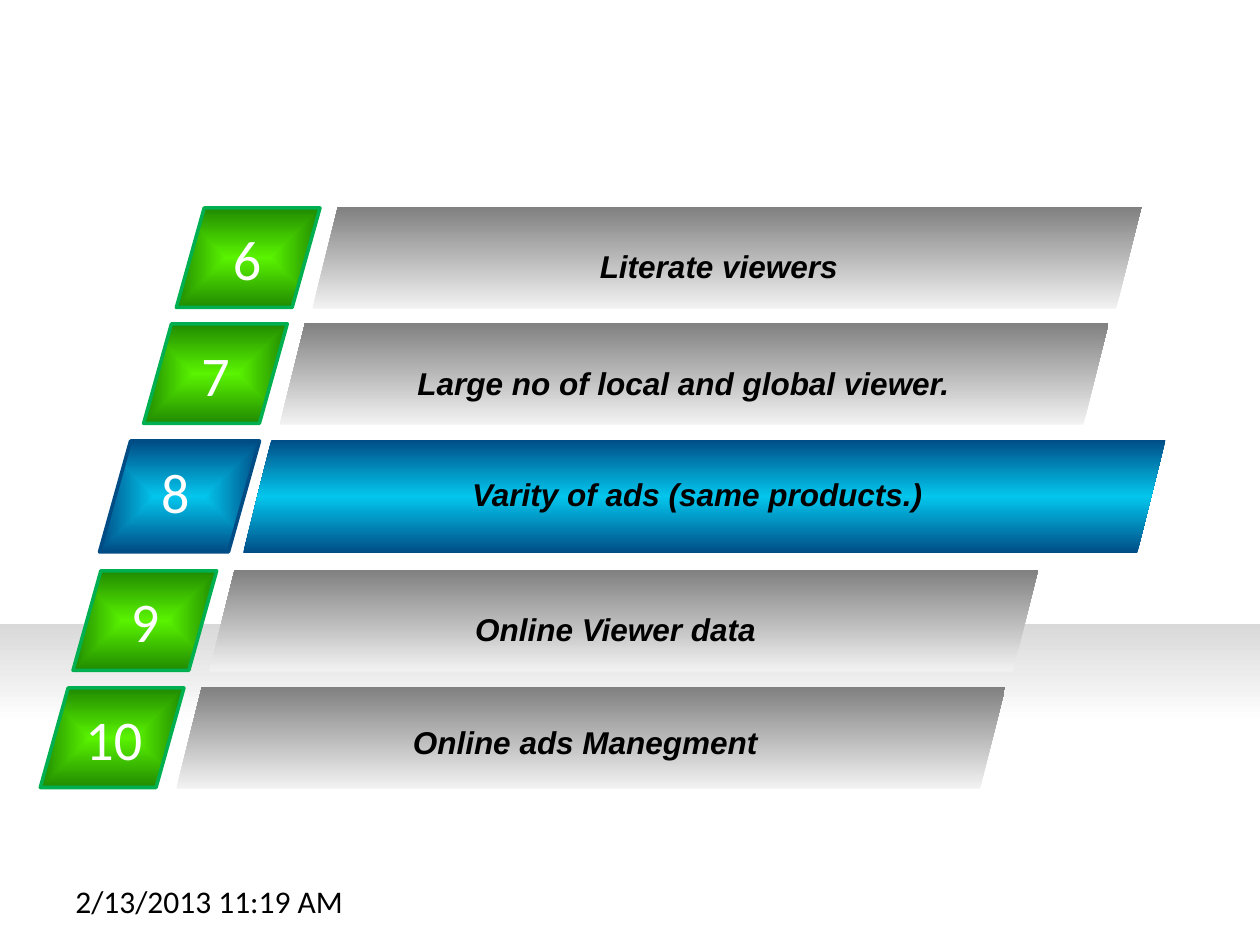
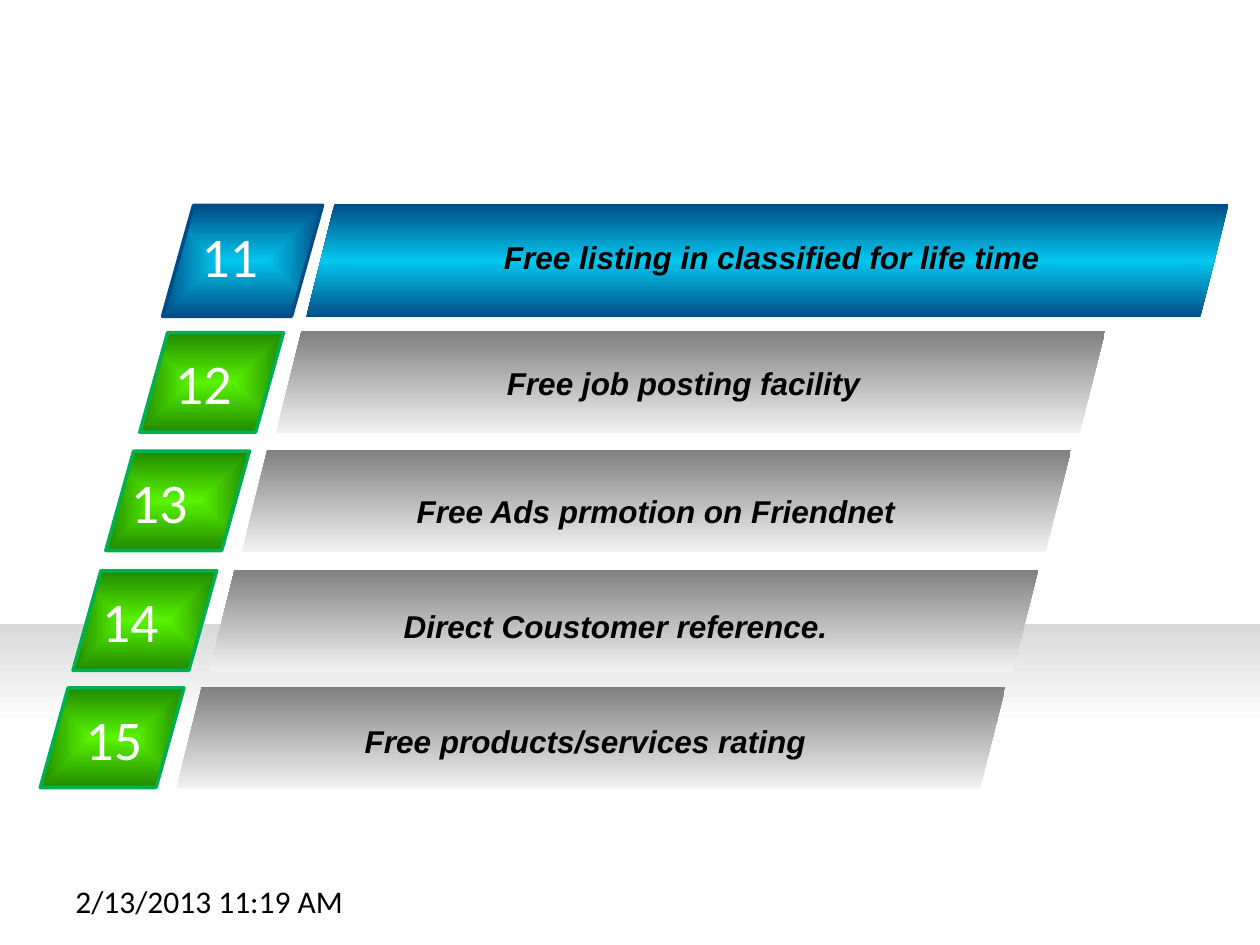
import pptx
import pptx.util
import pptx.dml.color
import pptx.enum.shapes
import pptx.enum.text
import pptx.oxml
import pptx.oxml.ns
import lxml.etree

RGB = pptx.dml.color.RGBColor
SHAPE = pptx.enum.shapes.MSO_SHAPE
ALIGN = pptx.enum.text.PP_ALIGN
PX = 9144  # 100 px to the inch

WHITE, BLACK = RGB(0xFF, 0xFF, 0xFF), RGB(0, 0, 0)
FLOOR_GREY = RGB(0xD9, 0xD9, 0xD9)
LIGHT_GREY, GREY = RGB(0xF2, 0xF2, 0xF2), RGB(0x80, 0x80, 0x80)
LIME, GREEN, EDGE_GREEN = RGB(0x5A, 0xF3, 0), RGB(0x20, 0x8A, 0), RGB(0, 0xB0, 0x50)
CYAN, NAVY = RGB(0x03, 0xC6, 0xED), RGB(0, 0x4D, 0x86)

UPWARD = '<a:lin ang="16200000" scaled="0"/>'
FROM_CENTRE = ('<a:path path="shape"><a:fillToRect l="50000" t="50000" '
               'r="50000" b="50000"/></a:path>')

# tile size, bar size, bar offset from tile, tile stops, edge, bar stops
PLAIN = ((114, 79), (658, 81), (108, -1), [(0, LIME), (100, GREEN)], EDGE_GREEN,
         [(0, LIGHT_GREY), (100, GREY)])
HIGHLIGHT = ((127, 88), (732, 90), (114, -1), [(0, CYAN), (100, NAVY)], NAVY,
             [(0, NAVY), (50, CYAN), (100, NAVY)])

# number, look, tile left and top, number left, label, label left, top and width
SLIDES = [
    [
        ("6", PLAIN, 140, 165, 175, "Literate viewers", 275, 191, 591),
        ("7", PLAIN, 114, 257, 150, "Large no of local and global viewer.", 247, 284, 591),
        ("8", HIGHLIGHT, 79, 350, 118, "Varity of ads (same products.)", 225, 372, 657),
        ("9", PLAIN, 58, 453, 94, "Online Viewer data", 193, 479, 591),
        ("10", PLAIN, 32, 546, 58, "Online ads Manegment", 169, 569, 591),
    ],
    [
        ("11", HIGHLIGHT, 129, 163, 150, "Free listing in classified for life time", 275, 184, 675),
        ("12", PLAIN, 111, 264, 129, "Free job posting facility", 247, 284, 591),
        ("13", PLAIN, 84, 358, 94, "Free Ads prmotion on Friendnet", 225, 386, 591),
        ("14", PLAIN, 58, 453, 71, "Direct Coustomer reference.", 193, 477, 591),
        ("15", PLAIN, 32, 546, 58, "Free products/services rating", 169, 568, 591),
    ],
]


def add_gradient_shape(slide, preset, left, top, size, stops, direction):
    shape = slide.shapes.add_shape(preset, left * PX, top * PX, size[0] * PX, size[1] * PX)
    shape.shadow.inherit = False
    shape.line.fill.background()
    stop_xml = "".join(f'<a:gs pos="{pos * 1000}"><a:srgbClr val="{color}"/></a:gs>'
                       for pos, color in stops)
    gradient = pptx.oxml.parse_xml(
        f'<a:gradFill {pptx.oxml.ns.nsdecls("a")} rotWithShape="1">'
        f'<a:gsLst>{stop_xml}</a:gsLst>{direction}</a:gradFill>')
    shape._element.spPr.insert(2, gradient)  # after xfrm and prstGeom
    return shape


def add_text(slide, text, left, top, width, height, size, font_name, color):
    box = slide.shapes.add_textbox(left * PX, top * PX, width * PX, height * PX)
    box.text_frame.word_wrap = True
    paragraph = box.text_frame.paragraphs[0]
    paragraph.text = text
    paragraph.font.size = pptx.util.Pt(size)
    paragraph.font.name = font_name
    paragraph.font.color.rgb = color
    return paragraph


prs = pptx.Presentation()
prs.slide_width, prs.slide_height = 1000 * PX, 750 * PX
blank = prs.slide_layouts[6]

for slide_index, rows in enumerate(SLIDES):
    slide = prs.slides.add_slide(blank)
    if slide_index == 0:
        # The floor band moves to the master, behind every slide
        floor = add_gradient_shape(slide, SHAPE.RECTANGLE, 0, 495, (1000, 202),
                                   [(0, WHITE), (61, WHITE), (100, FLOOR_GREY)], UPWARD)
        prs.slide_master.shapes._spTree.insert(2, floor._element)

    for number, look, left, top, number_left, label, label_left, label_top, label_width in rows:
        tile_size, bar_size, (bar_dx, bar_dy), tile_stops, edge, bar_stops = look
        tile = add_gradient_shape(slide, SHAPE.PARALLELOGRAM, left, top, tile_size,
                                  tile_stops, FROM_CENTRE)
        tile.adjustments[0] = 0.28
        tile.line.color.rgb = edge
        tile.line.width = pptx.util.Pt(2)
        lxml.etree.SubElement(tile.line._ln, pptx.oxml.ns.qn("a:round"))
        add_gradient_shape(slide, SHAPE.PARALLELOGRAM, left + bar_dx, top + bar_dy,
                           bar_size, bar_stops, UPWARD)
        add_text(slide, number, number_left, top + 8, 88, 64, 32, "Calibri", WHITE)
        caption = add_text(slide, label, label_left, label_top, label_width, 40,
                           18, "Arial", BLACK)
        caption.alignment = ALIGN.CENTER
        caption.font.bold = caption.font.italic = True

    add_text(slide, "2/13/2013 11:19 AM", 50, 695, 233, 40, 18, "Calibri", BLACK)

prs.save("out.pptx")
